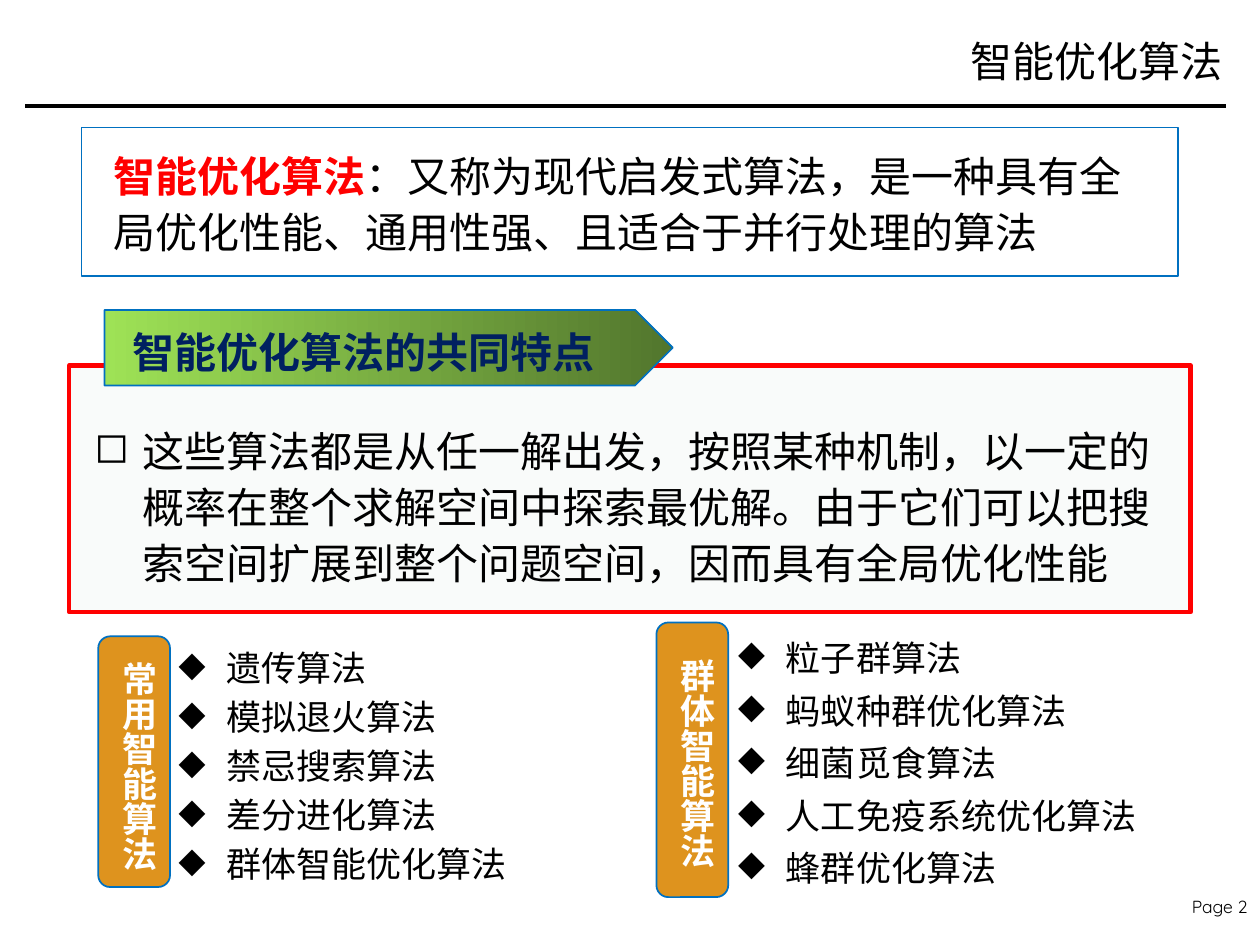
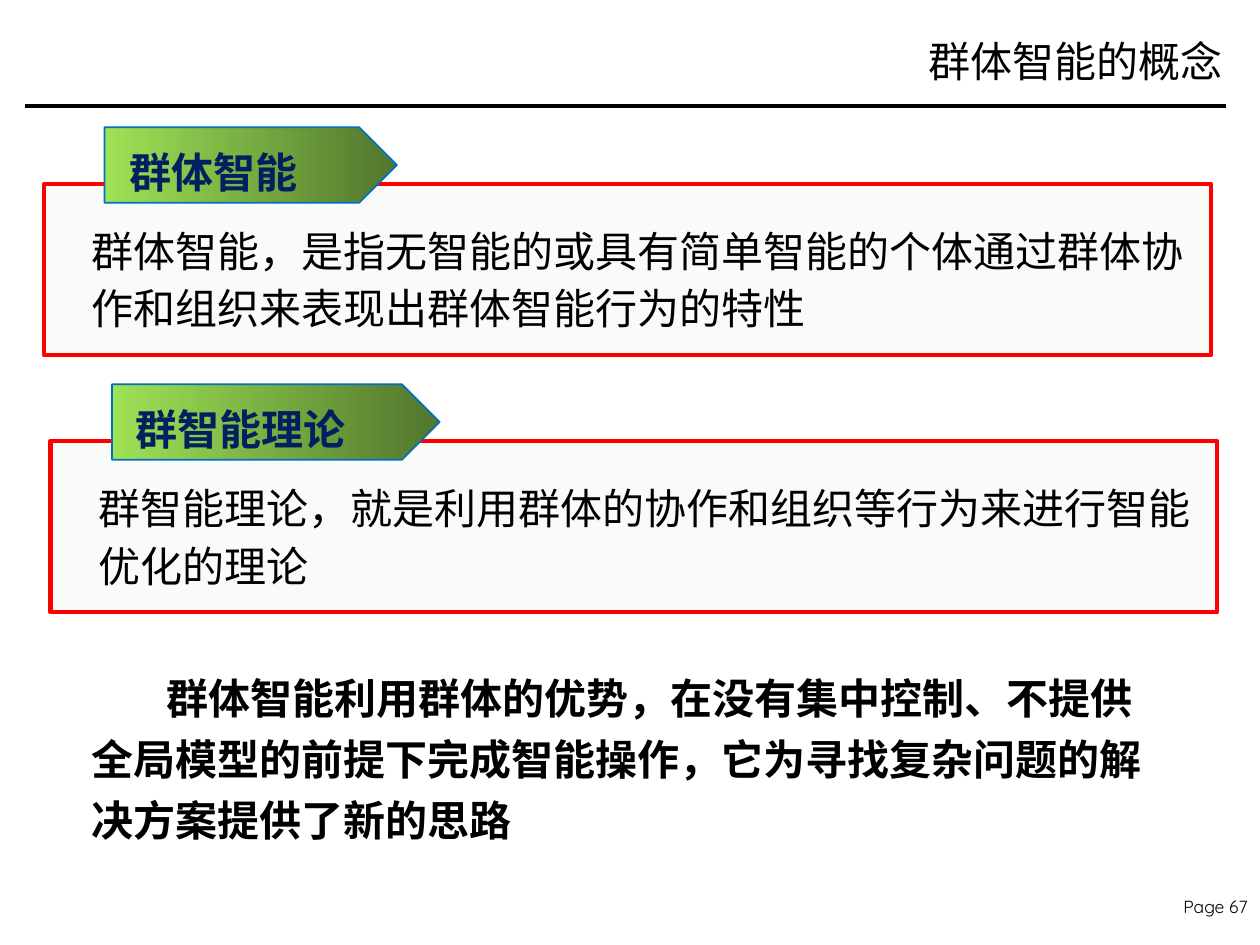
"""Builds two slides on intelligent optimisation and swarm intelligence."""
from lxml.etree import SubElement
from pptx import Presentation
from pptx.dml.color import RGBColor as RGB
from pptx.enum.shapes import MSO_CONNECTOR as LINK, MSO_SHAPE as SHAPE
from pptx.enum.text import MSO_ANCHOR as ANCHOR, MSO_AUTO_SIZE as FIT, PP_ALIGN as ALIGN
from pptx.oxml.ns import qn
from pptx.util import Inches, Pt

COLORS = {
    "black": "000000", "white": "FFFFFF", "red": "FF0000", "navy": "002060",
    "blue": "0070C0", "panel": "F9FBFA", "orange": "DE931E",
    "light_green": "9EE256", "dark_green": "52762D",
}
SERIF, SANS, FOOTER = "Times New Roman", "Noto Sans CJK SC", "Quicksand"


def add_block(slide, kind, at, line, width, fill=None, gradient=None):
    block = slide.shapes.add_shape(kind, *map(Inches, at))
    block.shadow.inherit = False
    block.line.color.rgb = RGB.from_string(COLORS[line])
    block.line.width = Pt(width)
    if gradient:
        block.fill.gradient()
        block.fill.gradient_angle = 0
        for stop, color in zip(block.fill.gradient_stops, gradient):
            stop.color.rgb = RGB.from_string(COLORS[color])
    elif fill:
        block.fill.solid()
        block.fill.fore_color.rgb = RGB.from_string(COLORS[fill])
    else:
        block.fill.background()


def write(shape, paragraphs, size=24, font=SERIF, spacing=None, bullet=None,
          indent=0, align=None, vertical=False):
    frame = shape.text_frame
    frame.word_wrap = True
    frame.auto_size = FIT.NONE
    if vertical:
        frame._txBody.bodyPr.set("vert", "eaVert")
    for number, runs in enumerate(paragraphs):
        paragraph = frame.add_paragraph() if number else frame.paragraphs[0]
        paragraph.alignment = align
        if spacing:
            paragraph.line_spacing = Pt(spacing)
        properties = paragraph._p.get_or_add_pPr()
        if bullet:
            properties.set("marL", str(Inches(0.38)))
            properties.set("indent", str(Inches(-0.38)))
            SubElement(properties, qn("a:buChar"), char=bullet)
        elif indent:
            properties.set("indent", str(Inches(indent)))
        for text, color, bold in runs:
            run = paragraph.add_run()
            run.text = text
            run.font.size = Pt(size)
            run.font.name = font
            run.font.bold = bold
            run.font.color.rgb = RGB.from_string(COLORS[color])
            SubElement(run._r.get_or_add_rPr(), qn("a:ea"), typeface=SANS)


deck = Presentation()
deck.slide_width, deck.slide_height = Inches(10), Inches(7.5)

slides = []
for heading, page in [("智能优化算法", "Page 2"), ("群体智能的概念", "Page 67")]:
    slide = deck.slides.add_slide(deck.slide_layouts[5])
    title = slide.shapes.title
    title.left, title.top, title.width, title.height = map(Inches, (4.86, 0.11, 4.94, 0.75))
    title.text_frame.vertical_anchor = ANCHOR.MIDDLE
    write(title, [[(heading, "black", False)]], align=ALIGN.RIGHT)
    rule = slide.shapes.add_connector(LINK.STRAIGHT, *map(Inches, (0.2, 0.84, 9.73, 0.84)))
    rule.line.color.rgb = RGB.from_string(COLORS["black"])
    rule.line.width = Pt(2)
    SubElement(rule._element.spPr, qn("a:effectLst"))
    footer = slide.shapes.add_textbox(*map(Inches, (9.2, 7.06, 0.8, 0.26)))
    write(footer, [[(page, "black", False)]], size=10, font=FOOTER, align=ALIGN.RIGHT)
    slides.append(slide)
overview, concept = slides

add_block(overview, SHAPE.RECTANGLE, (0.65, 1.01, 8.7, 1.18), "blue", 0.75)
definition = overview.shapes.add_textbox(*map(Inches, (0.8, 1.1, 8.35, 1)))
write(definition, [[
    ("智能优化算法", "red", True),
    ("：又称为现代启发式算法，是一种具有全局优化性能、通用性强、且适合于并行处理的算法", "black", False),
]], spacing=32)

panels = [
    (overview, "智能优化算法的共同特点",
     "这些算法都是从任一解出发，按照某种机制，以一定的概率在整个求解空间中探索最优解。"
     "由于它们可以把搜索空间扩展到整个问题空间，因而具有全局优化性能",
     (0.55, 2.9, 8.9, 1.96), (0.83, 2.46, 4.51, 0.6), (0.95, 2.54, 3.98, 0.5),
     (0.65, 3.28, 8.59, 1.45), 32, "◻"),
    (concept, "群体智能",
     "群体智能，是指无智能的或具有简单智能的个体通过群体协作和组织来表现出群体智能行为的特性",
     (0.35, 1.46, 9.26, 1.36), (0.83, 1.01, 2.32, 0.6), (0.93, 1.11, 2, 0.5),
     (0.63, 1.68, 9.12, 1.02), 33, None),
    (concept, "群智能理论",
     "群智能理论，就是利用群体的协作和组织等行为来进行智能优化的理论",
     (0.4, 3.5, 9.26, 1.36), (0.89, 3.05, 2.6, 0.6), (0.98, 3.15, 2, 0.5),
     (0.68, 3.72, 9.12, 1.02), 33, None),
]
for slide, label, body, panel_at, tag_at, label_at, body_at, spacing, bullet in panels:
    add_block(slide, SHAPE.RECTANGLE, panel_at, "red", 2.5, fill="panel")
    add_block(slide, SHAPE.PENTAGON, tag_at, "blue", 1, gradient=("light_green", "dark_green"))
    label_box = slide.shapes.add_textbox(*map(Inches, label_at))
    write(label_box, [[(label, "navy", True)]])
    body_box = slide.shapes.add_textbox(*map(Inches, body_at))
    write(body_box, [[(body, "black", False)]], spacing=spacing, bullet=bullet)

families = [
    ("常用智能算法", ["遗传算法", "模拟退火算法", "禁忌搜索算法", "差分进化算法", "群体智能优化算法"],
     (1.32, 5.03, 3.45, 2.06), (0.78, 5.05, 0.57, 1.99), (0.78, 5.15, 0.54, 1.89), 28),
    ("群体智能算法", ["粒子群算法", "蚂蚁种群优化算法", "细菌觅食算法", "人工免疫系统优化算法", "蜂群优化算法"],
     (5.76, 4.92, 4.07, 2.2), (5.21, 4.94, 0.57, 2.18), (5.21, 5.13, 0.54, 1.91), 30),
]
for family, algorithms, list_at, pillar_at, family_at, spacing in families:
    algorithm_list = overview.shapes.add_textbox(*map(Inches, list_at))
    write(algorithm_list, [[(name, "black", False)] for name in algorithms],
          size=20, spacing=spacing, bullet="◆")
    add_block(overview, SHAPE.ROUNDED_RECTANGLE, pillar_at, "blue", 1, fill="orange")
    family_box = overview.shapes.add_textbox(*map(Inches, family_at))
    write(family_box, [[(family, "white", True)]], size=20, font=SANS, vertical=True)

conclusion = concept.shapes.add_textbox(*map(Inches, (0.63, 5.2, 8.64, 1.57)))
write(conclusion, [[(
    "群体智能利用群体的优势，在没有集中控制、不提供全局模型的前提下完成智能操作，"
    "它为寻找复杂问题的解决方案提供了新的思路", "black", True)]], spacing=35, indent=0.59)

deck.save("out.pptx")
